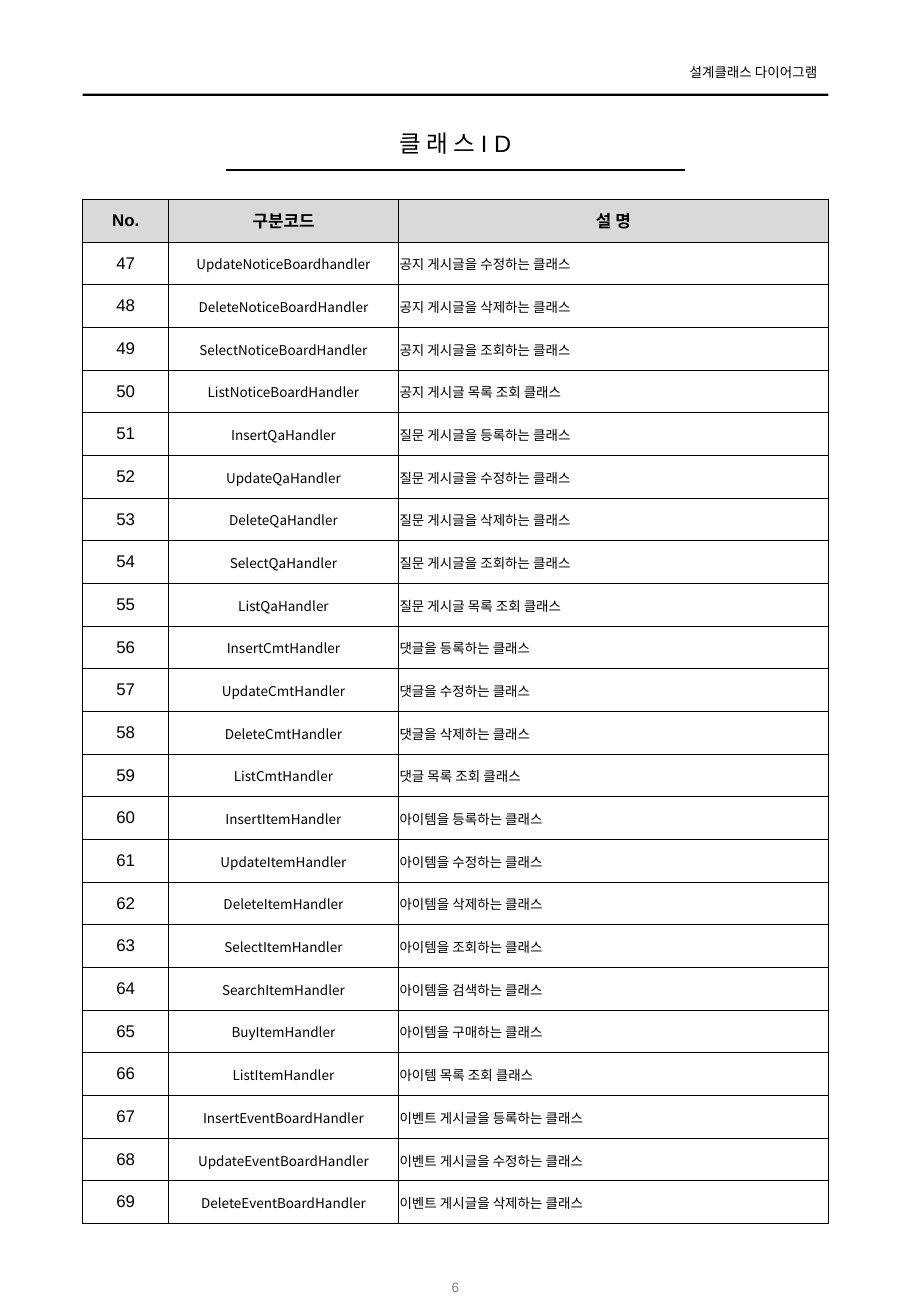
"""Build the class ID table page of a class diagram design document."""
from lxml import etree
from pptx import Presentation
from pptx.dml.color import RGBColor
from pptx.enum.shapes import MSO_CONNECTOR, MSO_SHAPE
from pptx.enum.text import MSO_ANCHOR, MSO_AUTO_SIZE, PP_ALIGN
from pptx.oxml.ns import qn
from pptx.util import Inches, Pt

LEFT, CENTER, RIGHT = PP_ALIGN.LEFT, PP_ALIGN.CENTER, PP_ALIGN.RIGHT
TOP, MIDDLE = MSO_ANCHOR.TOP, MSO_ANCHOR.MIDDLE
GROW, FIXED = MSO_AUTO_SIZE.SHAPE_TO_FIT_TEXT, MSO_AUTO_SIZE.NONE
RECT, STRAIGHT = MSO_SHAPE.RECTANGLE, MSO_CONNECTOR.STRAIGHT

THEME = {
    "ink": "000000", "muted": "808080", "head_fill": "D9D9D9",
    "latin": "Arial", "korean": "Noto Sans CJK KR",
    "title": 14, "table": 10, "small": 8, "border": 0.5, "rule": 1,
}
PAGE_W, PAGE_H = 7.5, 10.83
MARGIN, CONTENT_W = 0.68, 6.14
TABLE_TOP, TABLE_H = 1.64, 8.43
COLUMN_WIDTHS = (0.71, 1.89, 3.54)
DEFAULT_INSETS, TIGHT_INSETS = (0.1, 0.05, 0.1, 0.05), (0.01, 0.01, 0.01, 0)

SECTION = "설계클래스 다이어그램"
TITLE = "클 래 스 I D"
PAGE_NO = "6"
HEADINGS = ("No.", "구분코드", "설 명")
FIRST_NO = 47
CLASSES = [
    ("UpdateNoticeBoardhandler", "공지 게시글을 수정하는 클래스"),
    ("DeleteNoticeBoardHandler", "공지 게시글을 삭제하는 클래스"),
    ("SelectNoticeBoardHandler", "공지 게시글을 조회하는 클래스"),
    ("ListNoticeBoardHandler", "공지 게시글 목록 조회 클래스"),
    ("InsertQaHandler", "질문 게시글을 등록하는 클래스"),
    ("UpdateQaHandler", "질문 게시글을 수정하는 클래스"),
    ("DeleteQaHandler", "질문 게시글을 삭제하는 클래스"),
    ("SelectQaHandler", "질문 게시글을 조회하는 클래스"),
    ("ListQaHandler", "질문 게시글 목록 조회 클래스"),
    ("InsertCmtHandler", "댓글을 등록하는 클래스"),
    ("UpdateCmtHandler", "댓글을 수정하는 클래스"),
    ("DeleteCmtHandler", "댓글을 삭제하는 클래스"),
    ("ListCmtHandler", "댓글 목록 조회 클래스"),
    ("InsertItemHandler", "아이템을 등록하는 클래스"),
    ("UpdateItemHandler", "아이템을 수정하는 클래스"),
    ("DeleteItemHandler", "아이템을 삭제하는 클래스"),
    ("SelectItemHandler", "아이템을 조회하는 클래스"),
    ("SearchItemHandler", "아이템을 검색하는 클래스"),
    ("BuyItemHandler", "아이템을 구매하는 클래스"),
    ("ListItemHandler", "아이템 목록 조회 클래스"),
    ("InsertEventBoardHandler", "이벤트 게시글을 등록하는 클래스"),
    ("UpdateEventBoardHandler", "이벤트 게시글을 수정하는 클래스"),
    ("DeleteEventBoardHandler", "이벤트 게시글을 삭제하는 클래스"),
]
TEXT_BOXES = [
    (SECTION, (5.47, 0.48, 1.34, 0.24), (0.1, 0.05, 0.08, 0.05), "small", "ink", RIGHT,
     {"word_wrap": False, "auto_size": GROW, "vertical_anchor": TOP}),
    (TITLE, (MARGIN, 1.01, CONTENT_W, 0.34), (0, 0.05, 0, 0.05), "title", "ink", CENTER,
     {"word_wrap": True, "auto_size": GROW, "vertical_anchor": TOP}),
    (PAGE_NO, (3.28, 10.39, 0.94, 0.4), DEFAULT_INSETS, "small", "muted", CENTER,
     {"word_wrap": True, "auto_size": FIXED, "vertical_anchor": MIDDLE}),
]


def color(name):
    return RGBColor.from_string(THEME[name])


def set_attrs(obj, values):
    for name, value in values.items():
        setattr(obj, name, value)


def set_insets(obj, insets):
    sides = ("margin_left", "margin_top", "margin_right", "margin_bottom")
    set_attrs(obj, {side: Inches(v) for side, v in zip(sides, insets)})


def write(tf, text, size, align, font="latin", ink="ink", bold=False):
    p = tf.paragraphs[0]
    p.alignment = align
    r = p.add_run()
    r.text = text
    set_attrs(r.font, {"name": THEME[font], "size": Pt(THEME[size]), "bold": bold})
    r.font.color.rgb = color(ink)
    etree.SubElement(r.font._element, qn("a:ea"), typeface=THEME["korean"])


def add_text(s, text, box, insets, size, ink, align, frame):
    tf = s.shapes.add_textbox(*map(Inches, box)).text_frame
    set_attrs(tf, frame)
    set_insets(tf, insets)
    write(tf, text, size, align, ink=ink)


def add_rules(s):
    bar = s.shapes.add_shape(RECT, *map(Inches, (MARGIN, 0.77, CONTENT_W, 0.02)))
    bar.shadow.inherit = False
    bar.fill.solid()
    bar.fill.fore_color.rgb = color("ink")
    bar.line.fill.background()
    rule = s.shapes.add_connector(STRAIGHT, *map(Inches, (1.86, 1.4, 5.64, 1.4)))
    rule.line.color.rgb = color("ink")
    rule.line.width = Pt(THEME["rule"])
    etree.SubElement(rule._element.spPr, qn("a:effectLst"))


def add_borders(cell):
    tc_pr = cell._tc.get_or_add_tcPr()
    for side in ("a:lnL", "a:lnR", "a:lnT", "a:lnB"):
        ln = etree.SubElement(tc_pr, qn(side), w=str(Pt(THEME["border"])))
        fill = etree.SubElement(ln, qn("a:solidFill"))
        etree.SubElement(fill, qn("a:srgbClr"), val=THEME["ink"])


def add_class_table(s):
    rows = [HEADINGS] + [(str(n), *c) for n, c in enumerate(CLASSES, FIRST_NO)]
    box = map(Inches, (MARGIN, TABLE_TOP, CONTENT_W, TABLE_H))
    table = s.shapes.add_table(len(rows), len(HEADINGS), *box).table
    set_attrs(table, {"first_row": False, "horz_banding": False})
    for column, width in zip(table.columns, COLUMN_WIDTHS):
        column.width = Inches(width)
    for i, values in enumerate(rows):
        table.rows[i].height = Inches(TABLE_H / len(rows))
        for j, text in enumerate(values):
            cell = table.cell(i, j)
            head = i == 0
            small = not head and j > 0
            cell.vertical_anchor = MIDDLE
            set_insets(cell, TIGHT_INSETS if small else DEFAULT_INSETS)
            add_borders(cell)
            if head:
                cell.fill.solid()
                cell.fill.fore_color.rgb = color("head_fill")
            else:
                cell.fill.background()
            write(cell.text_frame, text, "small" if small else "table",
                  LEFT if small and j == 2 else CENTER,
                  font="korean" if small else "latin", bold=head)


def main():
    prs = Presentation()
    prs.slide_width, prs.slide_height = Inches(PAGE_W), Inches(PAGE_H)
    s = prs.slides.add_slide(prs.slide_layouts[6])
    add_rules(s)
    for item in TEXT_BOXES:
        add_text(s, *item)
    add_class_table(s)
    prs.save("out.pptx")


if __name__ == "__main__":
    main()
